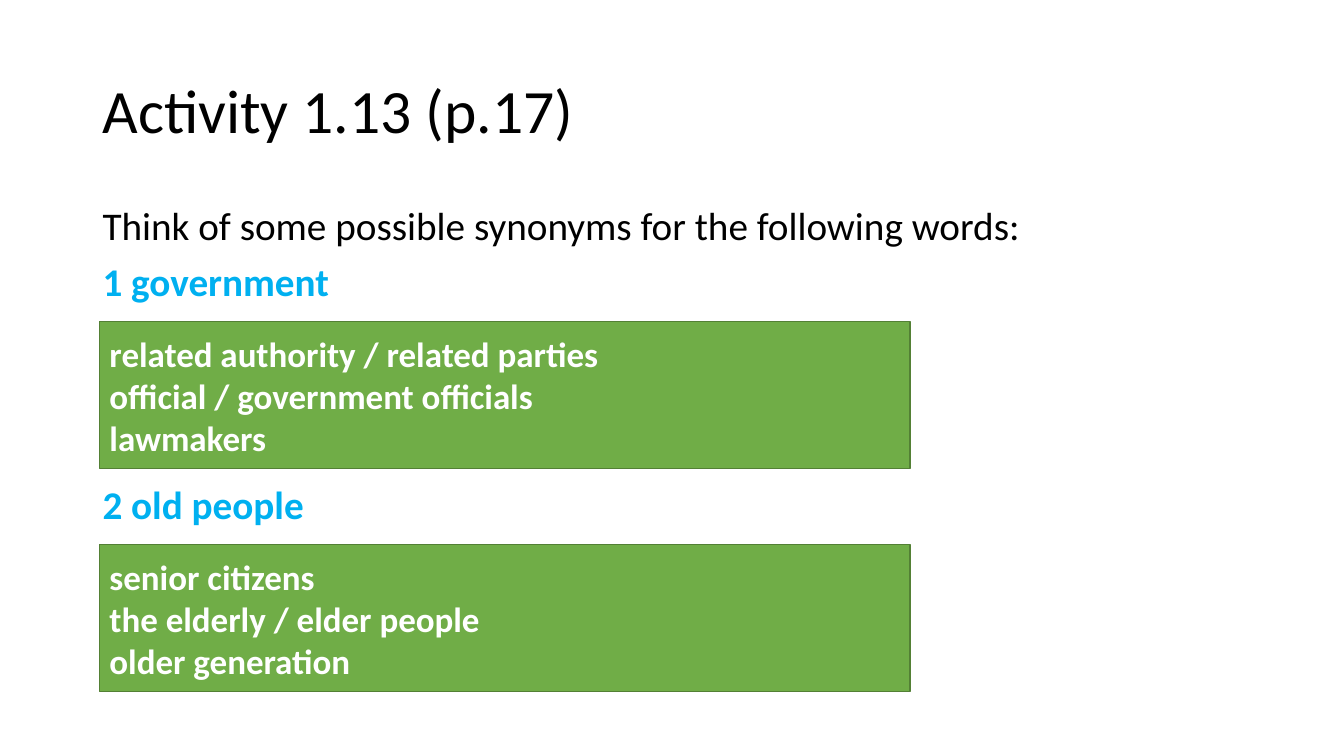
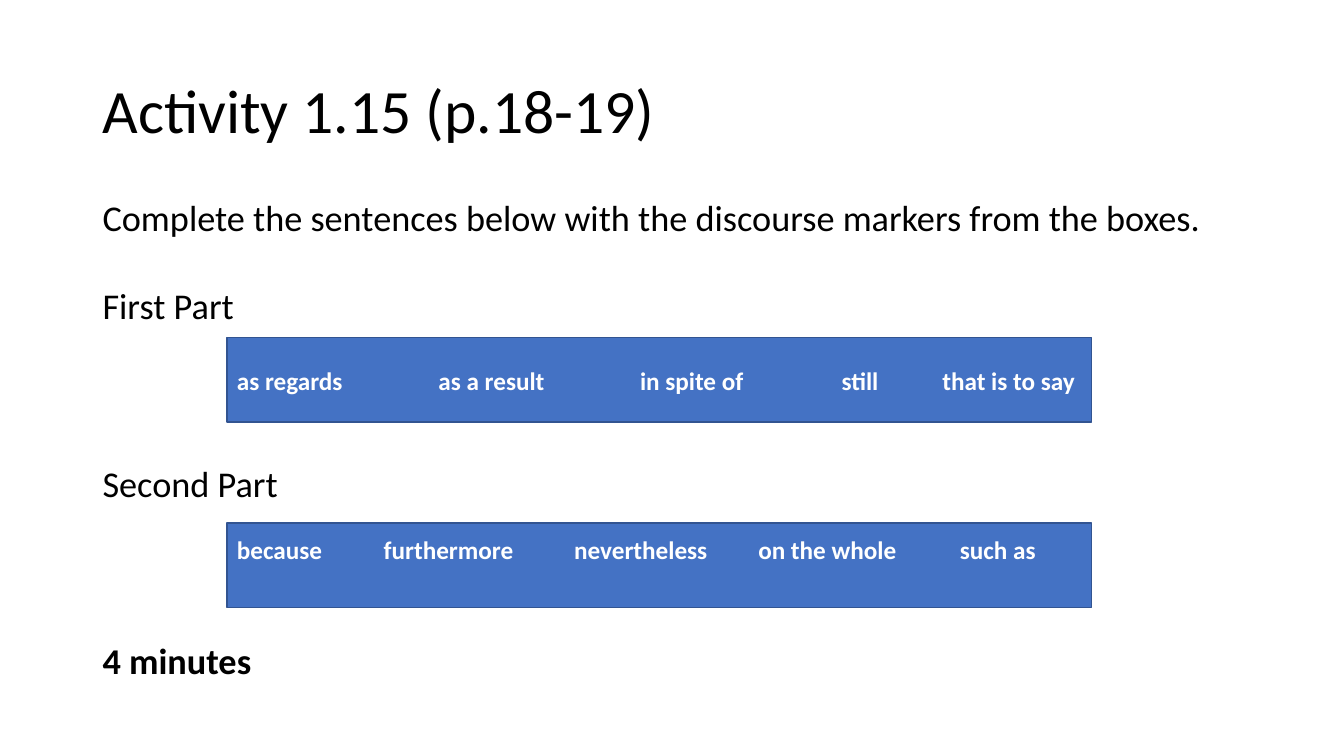
from dataclasses import dataclass

from lxml import etree
from pptx import Presentation
from pptx.dml.color import RGBColor
from pptx.enum.shapes import MSO_SHAPE
from pptx.enum.text import MSO_ANCHOR, MSO_AUTO_SIZE, PP_ALIGN
from pptx.oxml.ns import qn
from pptx.util import Cm, Pt

RECTANGLE = MSO_SHAPE.RECTANGLE
TOP, MIDDLE = MSO_ANCHOR.TOP, MSO_ANCHOR.MIDDLE
LEFT = PP_ALIGN.LEFT
NO_FIT = MSO_AUTO_SIZE.NONE


@dataclass(frozen=True)
class Theme:
    font: str = "Calibri"
    text: str = "000000"
    accent: str = "00B0F0"
    on_box: str = "FFFFFF"
    green: tuple = ("70AD47", "538035")
    blue: tuple = ("4472C4", "325491")
    title_size: float = 44
    answer_size: float = 25
    marker_size: float = 18


THEME = Theme()
TITLE_AREA = (2.33, 1.02, 29.21, 3.68)
BODY_AREA = (2.33, 5.08, 30.6, 13)

# Body lines: text, space before in points, colour, bold
# Boxes: top in cm, lines, tab stops in cm, anchor
ACTIVITIES = [
    {
        "title": "Activity 1.13 (p.17)",
        "body_size": 28,
        "line_spacing": 0.9,
        "body": [
            ("Think of some possible synonyms for the following words:", 10, THEME.text, False),
            ("1 government", 9.5, THEME.accent, True),
            ("2 old people", 129.5, THEME.accent, True),
        ],
        "box_style": {"left": 2.51, "width": 20.42, "height": 3.71,
                      "colors": THEME.green, "size": THEME.answer_size},
        "boxes": [
            (8.1, ["related authority / related parties",
                   "official / government officials",
                   "lawmakers"], [], MIDDLE),
            (13.72, ["senior citizens",
                     "the elderly / elder people",
                     "older generation"], [], MIDDLE),
        ],
    },
    {
        "title": "Activity 1.15 (p.18-19)",
        "body_size": 25.9,
        "line_spacing": 0.7,
        "body": [
            ("Complete the sentences below with the discourse markers from the boxes.",
             10, THEME.text, False),
            ("First Part", 41.5, THEME.text, False),
            ("Second Part", 105, THEME.text, False),
            ("4 minutes", 105, THEME.text, True),
        ],
        "box_style": {"left": 5.72, "width": 21.79, "height": 2.13,
                      "colors": THEME.blue, "size": THEME.marker_size},
        "boxes": [
            (8.51, ["as regards\tas a result\tin spite of\tstill\tthat is to say"],
             [5.08, 10.16, 15.24, 17.78], MIDDLE),
            (13.18, ["because\tfurthermore\tnevertheless\ton the whole\tsuch as"],
             [3.7, 8.5, 13.14, 18.22], TOP),
        ],
    },
]


def apply(target, values):
    for attribute, value in values.items():
        setattr(target, attribute, value)


def place(shape, area):
    apply(shape, dict(zip(("left", "top", "width", "height"), map(Cm, area))))


def write_lines(frame, lines, size, paragraph_format):
    """Write (text, space before, colour, bold) lines and return the paragraphs."""
    frame.text = "\n".join(line[0] for line in lines)
    for paragraph, (_, space, color, bold) in zip(frame.paragraphs, lines):
        apply(paragraph, {"alignment": LEFT, "space_before": Pt(space), **paragraph_format})
        font = paragraph.runs[0].font
        apply(font, {"name": THEME.font, "size": Pt(size), "bold": bold})
        font.color.rgb = RGBColor.from_string(color)
    return frame.paragraphs


def remove_bullet(paragraph):
    properties = paragraph._p.get_or_add_pPr()
    properties.set("marL", "0")
    properties.set("indent", "0")
    etree.SubElement(properties, qn("a:buNone"))


def set_tab_stops(paragraph, stops):
    tabs = etree.SubElement(paragraph._p.get_or_add_pPr(), qn("a:tabLst"))
    for stop in stops:
        etree.SubElement(tabs, qn("a:tab"), pos=str(int(Cm(stop))), algn="l")


def add_title(slide, text):
    title = slide.shapes.title
    place(title, TITLE_AREA)
    apply(title.text_frame, {"vertical_anchor": MIDDLE, "auto_size": NO_FIT})
    write_lines(title.text_frame, [(text, 0, THEME.text, False)],
                THEME.title_size, {"line_spacing": 0.9})


def add_body(slide, activity):
    body = slide.placeholders[1]
    place(body, BODY_AREA)
    apply(body.text_frame, {"vertical_anchor": TOP, "auto_size": NO_FIT})
    for paragraph in write_lines(body.text_frame, activity["body"], activity["body_size"],
                                 {"line_spacing": activity["line_spacing"]}):
        remove_bullet(paragraph)


def add_word_box(slide, style, top, lines, stops, anchor):
    area = map(Cm, (style["left"], top, style["width"], style["height"]))
    box = slide.shapes.add_shape(RECTANGLE, *area)
    box.shadow.inherit = False
    fill, outline = map(RGBColor.from_string, style["colors"])
    box.fill.solid()
    box.fill.fore_color.rgb = fill
    box.line.color.rgb = outline
    box.line.width = Pt(1)
    apply(box.text_frame, {"word_wrap": True, "vertical_anchor": anchor,
                           "margin_top": Cm(0.29 if anchor == TOP else 0.13)})
    rows = [(line, 0, THEME.on_box, True) for line in lines]
    for paragraph in write_lines(box.text_frame, rows, style["size"], {}):
        if stops:
            set_tab_stops(paragraph, stops)


def main():
    deck = Presentation()
    apply(deck, {"slide_width": Cm(33.87), "slide_height": Cm(19.05)})
    for activity in ACTIVITIES:
        slide = deck.slides.add_slide(deck.slide_layouts[1])
        add_title(slide, activity["title"])
        add_body(slide, activity)
        for box in activity["boxes"]:
            add_word_box(slide, activity["box_style"], *box)
    deck.save("out.pptx")


if __name__ == "__main__":
    main()
